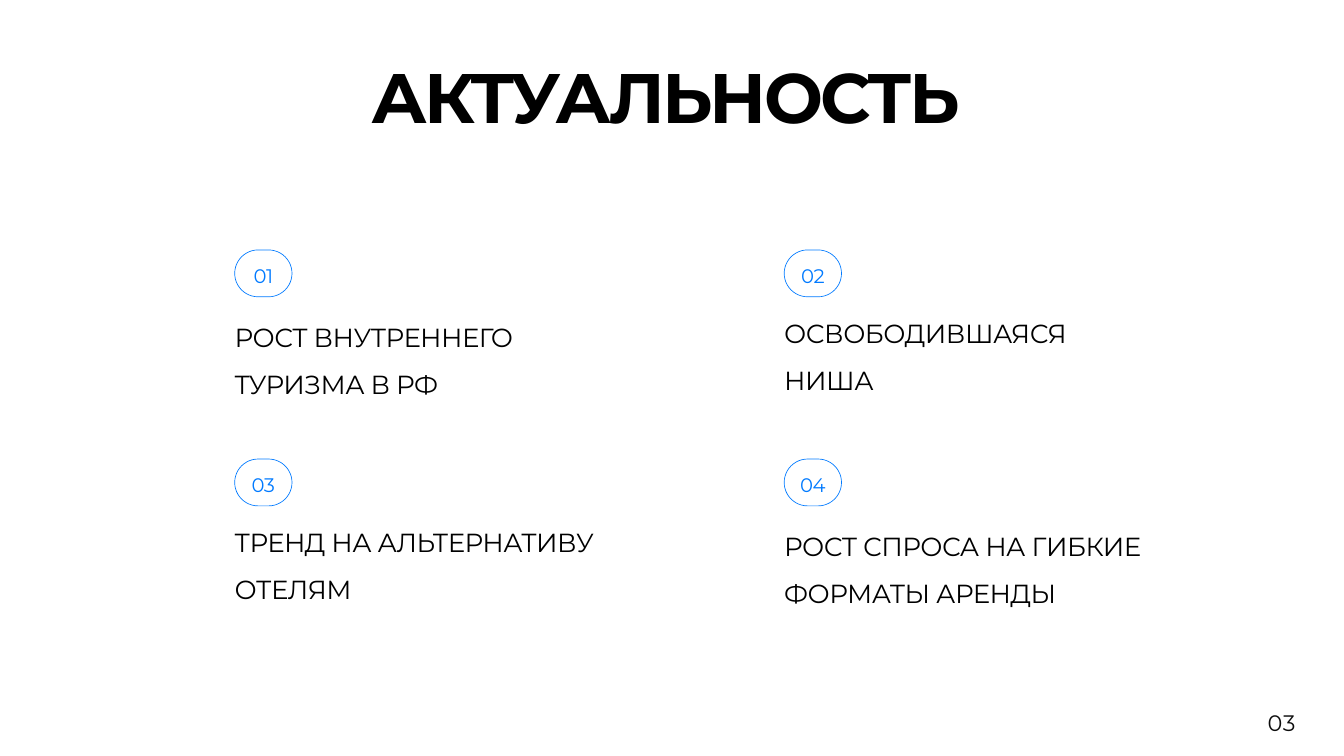
import pptx
import pptx.util
import pptx.dml.color
import pptx.enum.shapes
import pptx.enum.text

Pt = pptx.util.Pt
Align = pptx.enum.text.PP_ALIGN
Anchor = pptx.enum.text.MSO_ANCHOR
Fit = pptx.enum.text.MSO_AUTO_SIZE
BLUE, BLACK, DARK = "007AFF", "000000", "0D0D0D"


def color(code):
    return pptx.dml.color.RGBColor.from_string(code)


def write(shape, text, size, code, track, align=Align.LEFT, anchor=Anchor.TOP, bold=False):
    """Fill a shape with unpadded text; track is letter spacing in points."""
    frame = shape.text_frame
    frame.text = text
    frame.word_wrap = True
    frame.auto_size = Fit.NONE
    frame.vertical_anchor = anchor
    frame.margin_left = frame.margin_right = frame.margin_top = frame.margin_bottom = 0
    for para in frame.paragraphs:
        para.alignment = align
        for run in para.runs:
            run.font.name = "Montserrat"
            run.font.size = Pt(size)
            run.font.bold = bold
            run.font.color.rgb = color(code)
            run._r.get_or_add_rPr().set("spc", str(round(track * 100)))
    return frame


deck = pptx.Presentation()
deck.slide_width, deck.slide_height = Pt(1440), Pt(810)
slide = deck.slides.add_slide(deck.slide_layouts[5])
shapes = slide.shapes

title = shapes.title
title.left, title.top, title.width, title.height = Pt(397.5), Pt(57), Pt(644.5), Pt(96.5)
write(title, "АКТУАЛЬНОСТЬ", 75, BLACK, -3, bold=True)

# Each point: text, width, and the exact spacing of its first line
points = [
    ("РОСТ ВНУТРЕННЕГО\nТУРИЗМА В РФ", 396, None),
    ("ОСВОБОДИВШАЯСЯ\nНИША", 326, 29.4),
    ("ТРЕНД НА АЛЬТЕРНАТИВУ\nОТЕЛЯМ", 396, 29.4),
    ("РОСТ СПРОСА НА ГИБКИЕ\nФОРМАТЫ АРЕНДЫ", 396, None),
]
for i, (text, width, first) in enumerate(points):
    row, col = divmod(i, 2)
    left = 251.5 + col * 588.75
    top = 267.8 + row * 224

    badge = shapes.add_shape(pptx.enum.shapes.MSO_SHAPE.ROUNDED_RECTANGLE,
                             Pt(left), Pt(top), Pt(61.4), Pt(50.2))
    badge.adjustments[0] = 0.5
    badge.shadow.inherit = False
    badge.fill.background()
    badge.line.color.rgb = color(BLUE)
    badge.line.width = Pt(0.75)
    frame = write(badge, f"{i + 1:02}", 21, BLUE, -0.5, Align.CENTER, Anchor.MIDDLE)
    frame.paragraphs[0].line_spacing = Pt(29.4)

    box = shapes.add_textbox(Pt(left), Pt(top + 76.2), Pt(width), Pt(74 if first else 79))
    frame = write(box, text, 28, BLACK, -0.5)
    frame.auto_size = Fit.SHAPE_TO_FIT_TEXT
    if first:
        frame.paragraphs[0].line_spacing = Pt(first)
    frame.paragraphs[1].line_spacing = 1.5

page = shapes.add_textbox(Pt(1354.3), Pt(756), Pt(37.5), Pt(33))
frame = write(page, "03", 24, DARK, 0.7, Align.CENTER)
frame.paragraphs[0].line_spacing = Pt(32.4)

deck.save("out.pptx")
